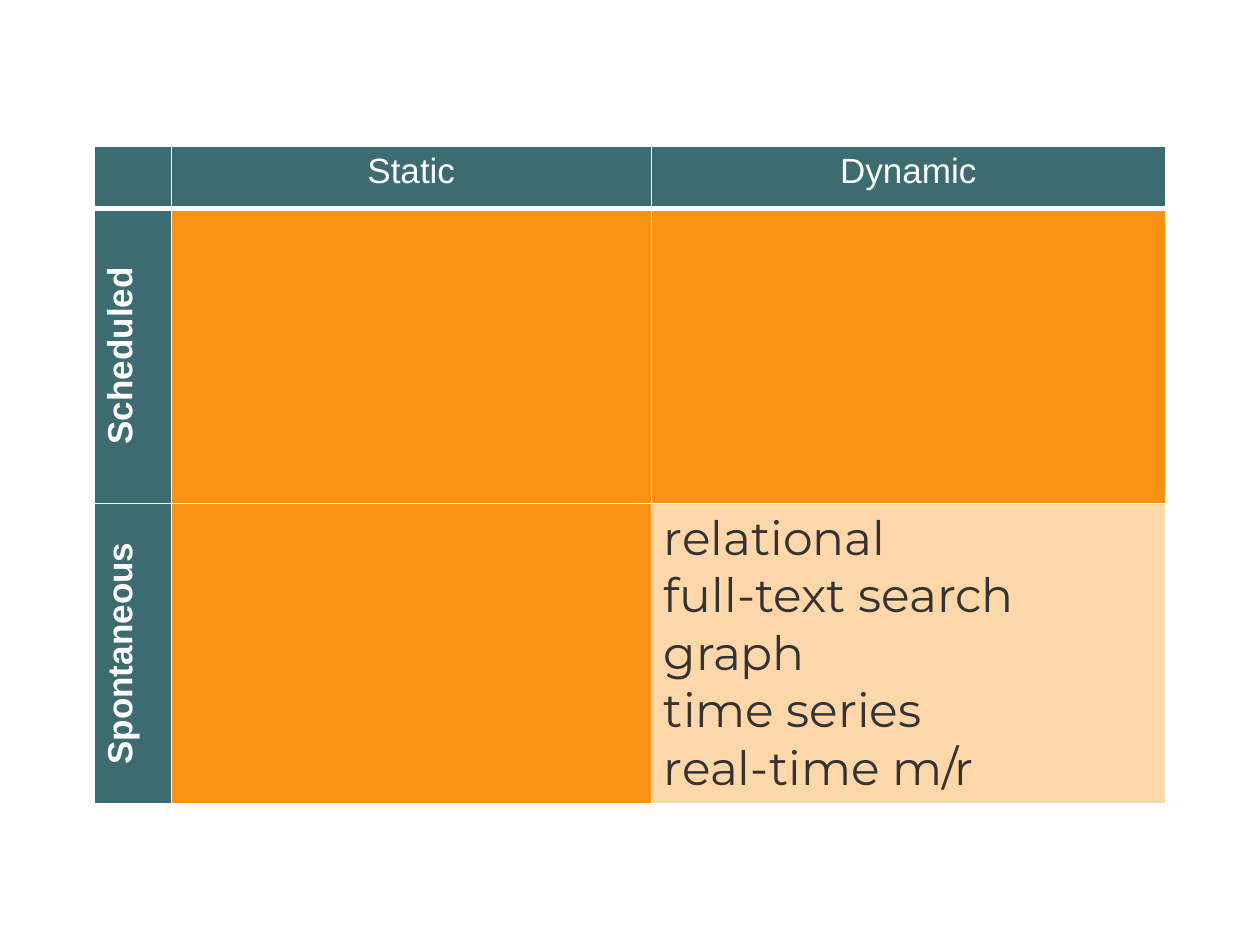
from dataclasses import dataclass

from lxml.etree import SubElement
from pptx import Presentation
from pptx.dml.color import RGBColor
from pptx.enum.text import PP_ALIGN as Align
from pptx.oxml.ns import qn
from pptx.util import Pt

TEAL, ORANGE, PEACH = "3C6C72", "F89210", "FFD7A8"
WHITE, DARK = "FFFFFF", "333333"
COLUMNS = (43.9, 274.3, 293.8)
ROWS = (35.7, 168.5, 171.8)


@dataclass(frozen=True)
class CellStyle:
    fill: str
    font: str = "Arial"
    size: float = 20
    color: str = WHITE
    bold: bool = False
    align: Align = Align.CENTER
    vertical: bool = False
    bottom: float = 1


HEADER = CellStyle(TEAL, bottom=3)
SIDE = CellStyle(TEAL, bold=True, vertical=True)
EMPTY = CellStyle(ORANGE)
FILLED = CellStyle(PEACH, "Montserrat", 27, DARK, align=Align.LEFT)

GRID = (
    ((HEADER, ()), (HEADER, ("Static",)), (HEADER, ("Dynamic",))),
    ((SIDE, ("Scheduled",)), (EMPTY, ()), (EMPTY, ())),
    (
        (SIDE, ("Spontaneous",)),
        (EMPTY, ()),
        (FILLED, ("relational", "full-text search", "graph",
                  "time series", "real-time m/r")),
    ),
)


def rgb(value: str) -> RGBColor:
    return RGBColor.from_string(value)


def add_borders(cell, bottom: float) -> None:
    tc_pr = cell._tc.get_or_add_tcPr()
    for side, width in (("L", 1), ("R", 1), ("T", 1), ("B", bottom)):
        ln = SubElement(tc_pr, qn(f"a:ln{side}"), w=str(Pt(width)))
        fill = SubElement(ln, qn("a:solidFill"))
        SubElement(fill, qn("a:srgbClr"), val=WHITE)


def fill_cell(cell, style: CellStyle, lines: tuple[str, ...]) -> None:
    add_borders(cell, style.bottom)
    cell.fill.solid()
    cell.fill.fore_color.rgb = rgb(style.fill)
    if style.vertical:
        cell._tc.get_or_add_tcPr().set("vert", "vert270")
    tf = cell.text_frame
    for i, line in enumerate(lines):
        p = tf.add_paragraph() if i else tf.paragraphs[0]
        p.alignment = style.align
        r = p.add_run()
        r.text = line
        r.font.name = style.font
        r.font.size = Pt(style.size)
        r.font.bold = style.bold
        r.font.color.rgb = rgb(style.color)


def main() -> None:
    prs = Presentation()
    prs.slide_width, prs.slide_height = Pt(720), Pt(540)
    s = prs.slides.add_slide(prs.slide_layouts[6])
    table = s.shapes.add_table(
        len(ROWS), len(COLUMNS), Pt(54), Pt(83.4), Pt(sum(COLUMNS)), Pt(sum(ROWS))
    ).table
    for column, width in zip(table.columns, COLUMNS):
        column.width = Pt(width)
    for row, height, content in zip(table.rows, ROWS, GRID):
        row.height = Pt(height)
        for cell, (style, lines) in zip(row.cells, content):
            fill_cell(cell, style, lines)
    prs.save("out.pptx")


if __name__ == "__main__":
    main()
